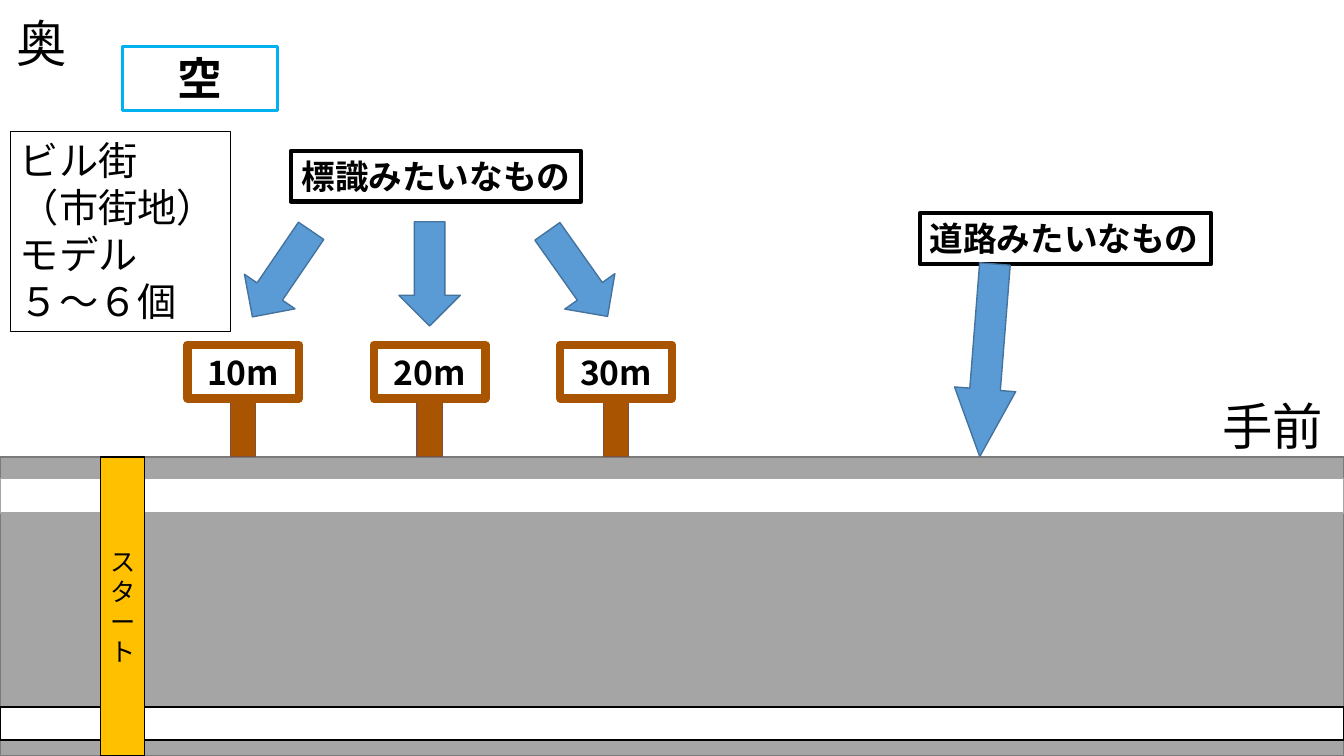
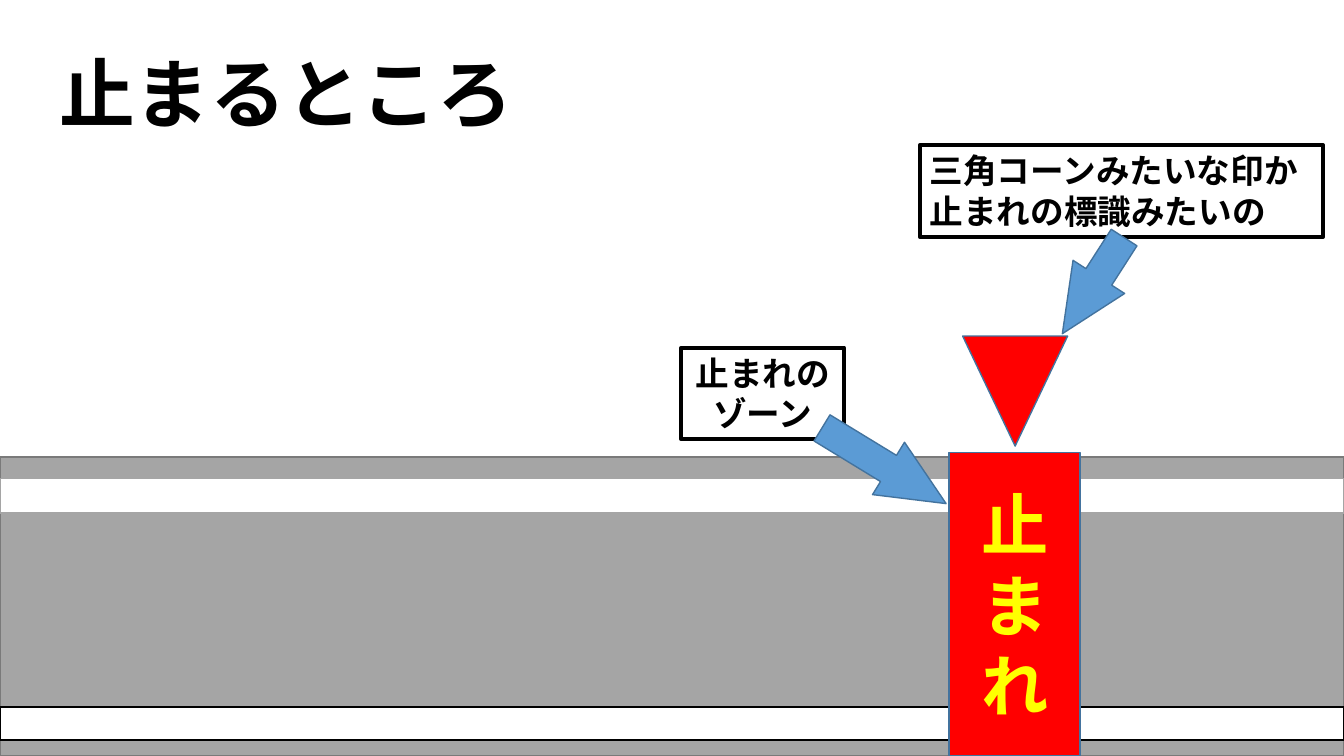
from collections import namedtuple
from lxml import etree
from pptx import Presentation
from pptx import util as u
from pptx.dml import color
from pptx.enum import lang, shapes, text
from pptx.oxml import ns

COLUMNS, ROWS = 160, 90
CELL = u.Pt(6)
FONT = "Noto Sans CJK JP"
BLACK, WHITE, GRAY = "000000", "FFFFFF", "A5A5A5"
BROWN, BLUE, BLUE_EDGE, RED = "A85400", "5B9BD5", "43739E", "FF0000"
RECTANGLE = shapes.MSO_SHAPE.RECTANGLE
LEFT, CENTER = text.PP_ALIGN.LEFT, text.PP_ALIGN.CENTER
TOP, MIDDLE = text.MSO_ANCHOR.TOP, text.MSO_ANCHOR.MIDDLE

Style = namedtuple("Style", "size bold color align", defaults=(False, BLACK, LEFT))


class Box(namedtuple("Box", "left top width height")):
    def inner(self, left, top, width, height):
        return Box(self.left + left, self.top + top, width, height)

    def lengths(self):
        return [round(cells * CELL) for cells in self]


ROAD = Box(0, 54.4, COLUMNS, 35.6)
CAPTION = Style(24, True)
CENTERED_CAPTION = CAPTION._replace(align=CENTER)


def paint(target, value):
    target.solid()
    target.fore_color.rgb = color.RGBColor.from_string(value)


def outline(shape, value, width):
    paint(shape.line.fill, value)
    shape.line.width = u.Pt(width)


def write(shape, lines, style, anchor=TOP, grow=False):
    frame = shape.text_frame
    frame.word_wrap = True
    frame.vertical_anchor = anchor
    sizing = text.MSO_AUTO_SIZE
    frame.auto_size = sizing.SHAPE_TO_FIT_TEXT if grow else sizing.NONE
    for index, line in enumerate(lines):
        paragraph = frame.add_paragraph() if index else frame.paragraphs[0]
        paragraph.alignment = style.align
        run = paragraph.add_run()
        run.text = line
        font = run.font
        font.size, font.bold, font.name = u.Pt(style.size), style.bold, FONT
        font.language_id = lang.MSO_LANGUAGE_ID.JAPANESE
        paint(font.fill, style.color)
        latin = run._r.find(".//" + ns.qn("a:latin"))
        latin.addnext(etree.Element(ns.qn("a:ea"), typeface=FONT))


def draw(slide, box, fill, line, width=1, kind=RECTANGLE, rotation=0):
    shape = slide.shapes.add_shape(kind, *box.lengths())
    shape.shadow.inherit = False
    shape.rotation = rotation
    paint(shape.fill, fill)
    outline(shape, line, width)
    return shape


def add_label(slide, box, lines, style=CAPTION, line=None, width=3):
    label = slide.shapes.add_textbox(*box.lengths())
    write(label, lines, style, grow=True)
    if line:
        outline(label, line, width)


def add_arrow(slide, box, rotation=0, head=None):
    arrow = draw(slide, box, BLUE, BLUE_EDGE,
                 kind=shapes.MSO_SHAPE.DOWN_ARROW, rotation=rotation)
    if head:
        arrow.adjustments[1] = head


def add_road(slide, box):
    draw(slide, box, GRAY, "7A7A7A")
    draw(slide, box.inner(0, 2.6, box.width, 4.1), WHITE, GRAY)
    draw(slide, box.inner(0, 29.75, box.width, 3.95), WHITE, BLACK)


def add_start_line(slide, box):
    line = draw(slide, box, "FFC000", BLACK)
    write(line, ["スタート"], Style(18, align=CENTER), MIDDLE)


def add_distance_sign(slide, box, distance):
    board_height, post_width = box.height * 0.48, 3
    draw(slide, box.inner((box.width - post_width) / 2, board_height,
                          post_width, box.height - board_height), BROWN, "804F40")
    board = draw(slide, box._replace(height=board_height), WHITE, BROWN, 6)
    write(board, [distance], CENTERED_CAPTION, MIDDLE)


def add_stop_zone(slide, box):
    draw(slide, box.inner(1.6, -13.9, 12.5, 13.1), RED, BLUE_EDGE,
         kind=shapes.MSO_SHAPE.ISOSCELES_TRIANGLE, rotation=180)
    zone = draw(slide, box, RED, BLUE_EDGE)
    write(zone, "止まれ", Style(48, True, "FFFF00", CENTER), MIDDLE)


def add_title(slide, box, wording):
    title = slide.shapes.title
    title.left, title.top, title.width, title.height = box.lengths()
    write(title, [wording], Style(54, True, align=CENTER), grow=True)


def build_start_slide(slide):
    add_road(slide, ROAD)
    add_start_line(slide, ROAD.inner(12, 0, 5.2, ROAD.height))
    for index, rotation in enumerate((34.3, 0, 324.7)):
        add_distance_sign(slide, Box(22.3 + 22.2 * index, 41.05, 13.3, 13.3),
                          f"{10 * (index + 1)}m")
        add_arrow(slide, Box(29.9 + 17.6 * index, 26.4, 7.3, 12.4), rotation)
    add_label(slide, Box(34.6, 18, 34.6, 6), ["標識みたいなもの"], CENTERED_CAPTION, BLACK)
    add_label(slide, Box(109.5, 25.4, 34.7, 6), ["道路みたいなもの"], CAPTION, BLACK)
    add_arrow(slide, Box(113.9, 31.4, 7.3, 23), 4.5, 1.1)
    add_label(slide, Box(14.6, 5.5, 18.4, 7.7), ["空"],
              Style(32, True, align=CENTER), "00B0F0", 2.25)
    add_label(slide, Box(0.8, 0.8, 8.4, 8.5), ["奥"], Style(36))
    add_label(slide, Box(144.3, 46.5, 15.4, 8.5), ["手前"], Style(36))
    add_label(slide, Box(1.2, 15.6, 26.2, 23.9),
              ["ビル街", "（市街地）", "モデル", "５～６個"], Style(28), BLACK, 0.75)


def build_stop_slide(slide):
    add_title(slide, Box(5.3, 5, 57.5, 12.1), "止まるところ")
    add_road(slide, ROAD)
    add_label(slide, Box(109.5, 17.3, 48, 10.9),
              ["三角コーンみたいな印か", "止まれの標識みたいの"], CAPTION, BLACK)
    add_stop_zone(slide, Box(113, 53.9, 15.6, 36.1))
    add_arrow(slide, Box(126.5, 27.2, 7.3, 13.6), 32.7, 1.1)
    add_label(slide, Box(81.1, 41.4, 19.4, 10.9), ["止まれのゾーン"],
              CENTERED_CAPTION, BLACK)
    add_arrow(slide, Box(101.6, 46.8, 7.3, 17.3), 301.4, 1.1)


presentation = Presentation()
presentation.slide_width = COLUMNS * CELL
presentation.slide_height = ROWS * CELL
for layout, build in (("Blank", build_start_slide), ("Title Only", build_stop_slide)):
    build(presentation.slides.add_slide(presentation.slide_layouts.get_by_name(layout)))
presentation.save("out.pptx")
